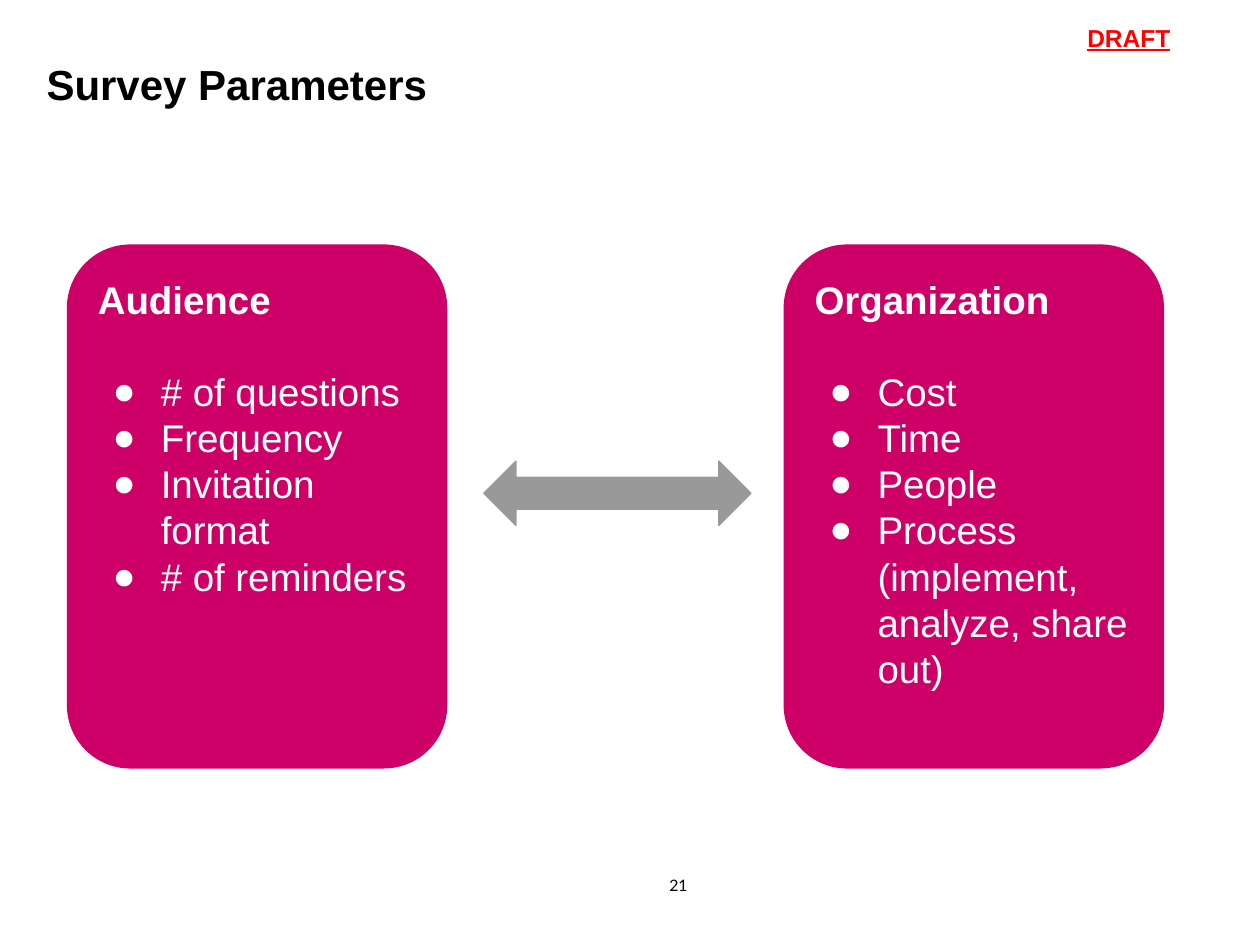
from lxml.etree import SubElement as Sub
from pptx import Presentation
from pptx.dml.color import RGBColor
from pptx.enum.shapes import MSO_SHAPE as Shape
from pptx.enum.text import MSO_ANCHOR as Anchor, MSO_AUTO_SIZE as Auto, PP_ALIGN as Align
from pptx.oxml.ns import qn
from pptx.util import Pt

TITLE = "Survey Parameters"
STAMP = "DRAFT"
PAGE = "21"
CARDS = [
    ("Audience", ["# of questions", "Frequency", "Invitation format", "# of reminders"]),
    ("Organization", ["Cost", "Time", "People", "Process (implement, analyze, share out)"]),
]
PINK, GRAY, WHITE, BLACK, RED = "CC0066", "999999", "FFFFFF", "000000", "FF0000"
LEFT, TOP, WIDE, HIGH, STEP = 38.2, 139.7, 217.4, 299.5, 409.6
LINE = 26.4


def color(code):
    return RGBColor.from_string(code)


def place(box, *spot):
    box.left, box.top, box.width, box.height = map(Pt, spot)


def frame(box, pad, anchor=Anchor.TOP):
    text = box.text_frame
    text.word_wrap, text.auto_size = True, Auto.NONE
    text.vertical_anchor = anchor
    text.margin_left = text.margin_right = Pt(7.2)
    text.margin_top = text.margin_bottom = Pt(pad)
    return text


def write(para, words, size, code, bold=False, face="Arial", align=Align.LEFT):
    para.alignment = align
    run = para.add_run()
    run.text = words
    font = run.font
    font.name, font.size, font.bold = face, Pt(size), bold
    font.color.rgb = color(code)
    return run


def bullet(para):
    props = para._p.get_or_add_pPr()
    props.set("marL", str(Pt(36)))
    props.set("indent", str(-Pt(27.5)))
    Sub(Sub(props, qn("a:buClr")), qn("a:srgbClr"), val=WHITE)
    Sub(props, qn("a:buFont"), typeface="Arial")
    Sub(props, qn("a:buChar"), char="●")


def block(slide, kind, fill, *spot):
    shape = slide.shapes.add_shape(kind, *map(Pt, spot))
    shape.shadow.inherit = False
    shape.fill.solid()
    shape.fill.fore_color.rgb = color(fill)
    shape.line.fill.background()
    return shape


def card(slide, left, head, items):
    shape = block(slide, Shape.ROUNDED_RECTANGLE, PINK, left, TOP, WIDE, HIGH)
    text = frame(shape, 7.2)
    first = text.paragraphs[0]
    write(first, head, 22, WHITE, True)
    first.line_spacing = first.space_after = Pt(LINE)
    for item in items:
        para = text.add_paragraph()
        bullet(para)
        para.line_spacing = Pt(LINE)
        write(para, item, 22, WHITE)


def label(slide, pad, *spot):
    box = slide.shapes.add_textbox(*map(Pt, spot))
    return frame(box, pad).paragraphs[0]


def main():
    """Build the survey parameters slide."""
    deck = Presentation()
    deck.slide_width, deck.slide_height = Pt(720), Pt(540)
    slide = deck.slides.add_slide(deck.slide_layouts[5])

    stamp = label(slide, 7.2, 614.2, 5.8, 82, 29.5)
    write(stamp, STAMP, 14, RED, True).font.underline = True

    title = slide.shapes.title
    place(title, 19.4, 29.5, 658, 36.7)
    write(frame(title, 3.6, Anchor.MIDDLE).paragraphs[0], TITLE, 24, BLACK, True)

    for spot, (head, items) in enumerate(CARDS):
        card(slide, LEFT + spot * STEP, head, items)

    arrow = block(slide, Shape.LEFT_RIGHT_ARROW, GRAY, 276.5, 263.5, 152.6, 36.7)
    arrow.line.color.rgb = color(GRAY)
    arrow.line.width = Pt(0.75)

    page = label(slide, 3.6, 303.8, 496.8, 167.8, 37.4)
    write(page, PAGE, 9, BLACK, face="Lato", align=Align.CENTER)
    deck.save("out.pptx")


if __name__ == "__main__":
    main()
